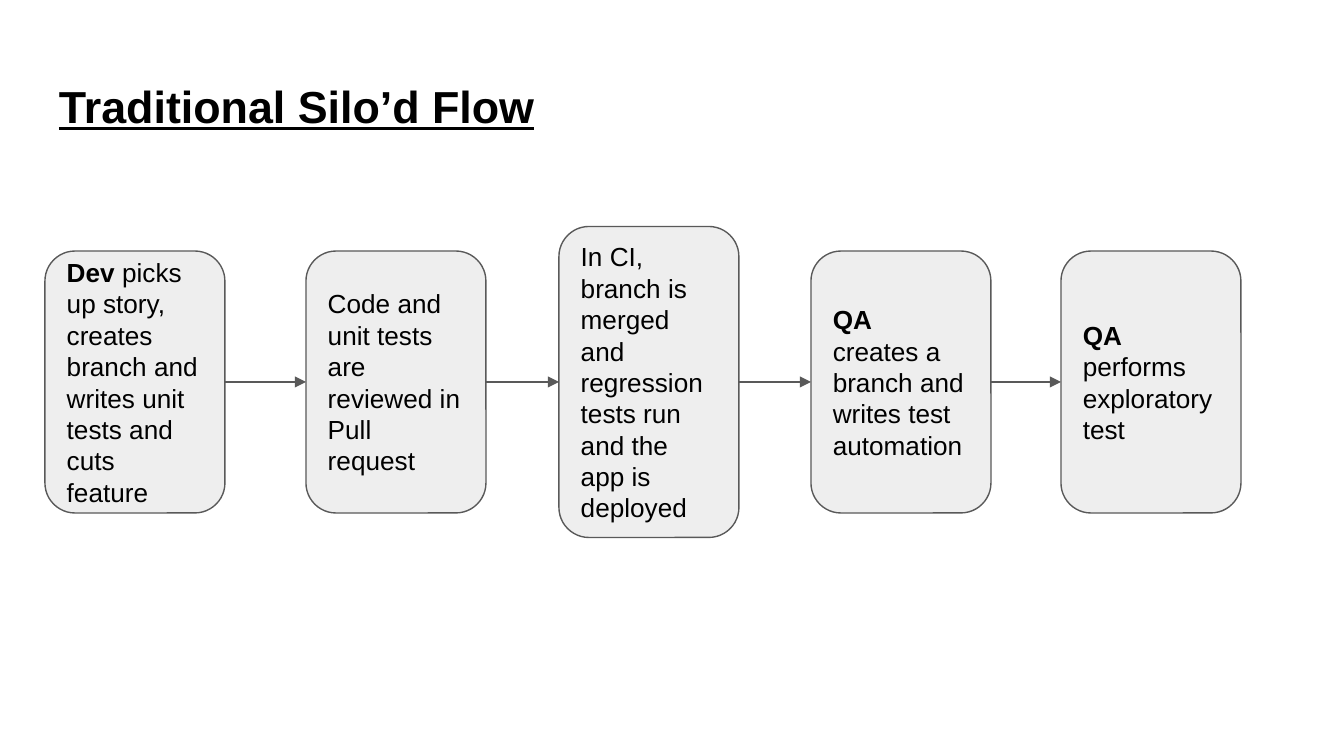
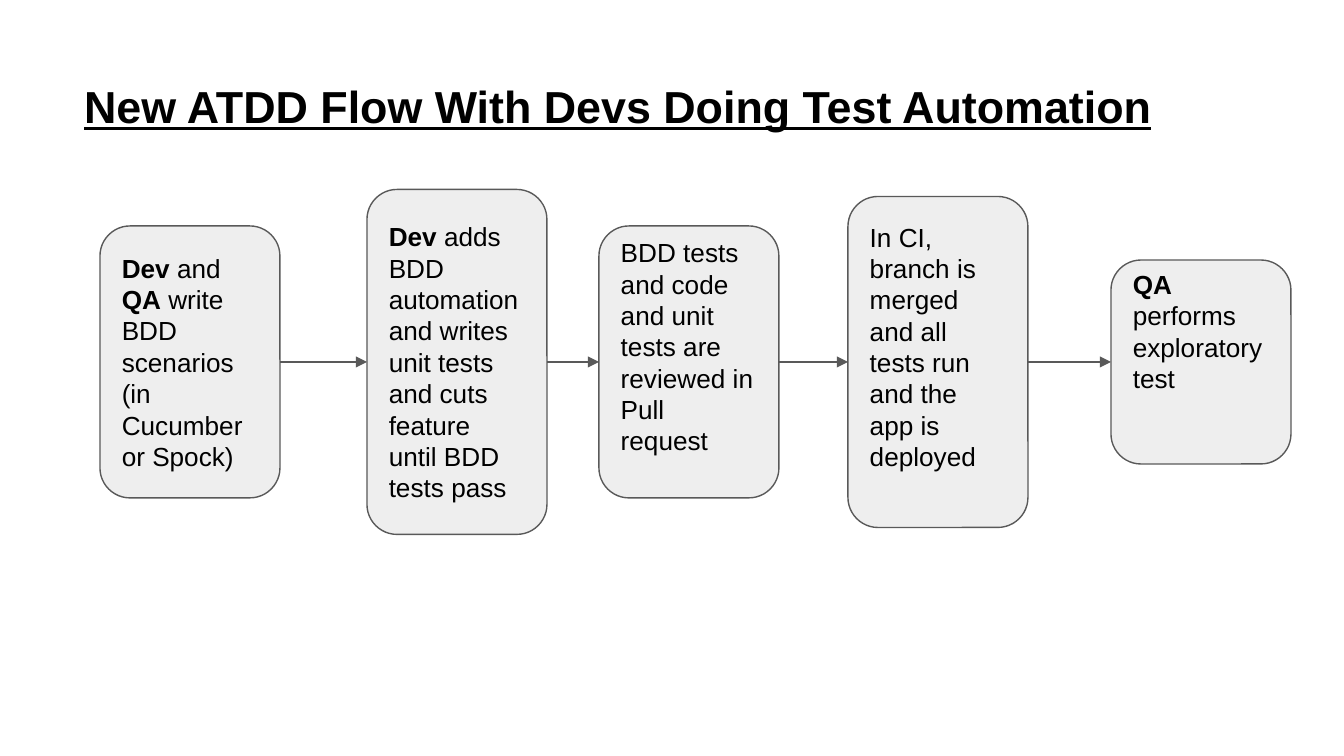
from lxml import etree
from pptx import Presentation
from pptx.dml.color import RGBColor
from pptx.enum.shapes import MSO_CONNECTOR, MSO_SHAPE
from pptx.enum.text import MSO_ANCHOR, PP_ALIGN
from pptx.oxml.ns import qn
from pptx.util import Emu, Pt

ROUND = MSO_SHAPE.ROUNDED_RECTANGLE
LINE = MSO_CONNECTOR.STRAIGHT
TOP, MIDDLE = MSO_ANCHOR.TOP, MSO_ANCHOR.MIDDLE
LEFT = PP_ALIGN.LEFT
LEFT_SITE, RIGHT_SITE = 1, 3

SCALE = 914400 / 134.4
FONT = "Arial"
INK, FILL, EDGE = "000000", "EEEEEE", "595959"
PAD = 13
ROW = 31       # height of one line of step text
STEP_W = 180


def px(n):
    return Emu(round(n * SCALE))


def color(code):
    return RGBColor.from_string(code)


class Deck:
    def __init__(self):
        self.prs = Presentation()
        self.prs.slide_width, self.prs.slide_height = px(1344), px(756)
        self.slide = None

    def add_slide(self):
        self.slide = self.prs.slides.add_slide(self.prs.slide_layouts[6])

    def set_text(self, frame, text, size, anchor, rows=0):
        """Fill a frame; *stars* mark bold, rows is space kept free below."""
        frame.word_wrap = True
        frame.vertical_anchor = anchor
        frame.margin_left = frame.margin_right = frame.margin_top = px(PAD)
        frame.margin_bottom = px(PAD + rows * ROW)
        for i, line in enumerate(text.split("\n")):
            para = frame.paragraphs[0] if i == 0 else frame.add_paragraph()
            para.alignment = LEFT
            para.font.name, para.font.size = FONT, Pt(size)
            para.font.color.rgb = color(INK)
            for j, part in enumerate(line.split("*")):
                if part:
                    run = para.add_run()
                    run.text = part
                    if j % 2:
                        run.font.bold = True

    def title(self, text, x, w, h):
        box = self.slide.shapes.add_textbox(px(x), px(66), px(w), px(h))
        self.set_text(box.text_frame, text, 24, TOP)
        font = box.text_frame.paragraphs[0].font
        font.bold = font.underline = True

    def step(self, text, x, mid, h, rows=0):
        box = self.slide.shapes.add_shape(
            ROUND, px(x), px(mid - h / 2), px(STEP_W), px(h))
        box.shadow.inherit = False
        box.adjustments[0] = 0.167
        box.fill.solid()
        box.fill.fore_color.rgb = color(FILL)
        box.line.color.rgb = color(EDGE)
        box.line.width = Pt(0.75)
        self.set_text(box.text_frame, text, 14, MIDDLE, rows)
        return box

    def arrow(self, start, end):
        line = self.slide.shapes.add_connector(LINE, 0, 0, 0, 0)
        line.begin_connect(start, RIGHT_SITE)
        line.end_connect(end, LEFT_SITE)
        line.line.color.rgb = color(EDGE)
        line.line.width = Pt(0.75)
        props = line._element.spPr
        etree.SubElement(props.find(qn("a:ln")), qn("a:tailEnd"), type="triangle")
        etree.SubElement(props, qn("a:effectLst"))

    def flow(self, mid, steps):
        """Draw steps centred on one axis, with arrows between neighbours."""
        boxes = [self.step(text, x, mid, h, rows) for x, h, rows, text in steps]
        for start, end in zip(boxes, boxes[1:]):
            self.arrow(start, end)


deck = Deck()

# Slide 1: traditional flow (left, height, free rows, text)
deck.add_slide()
deck.title("Traditional Silo’d Flow", 46, 1136, 101)
deck.flow(382, [
    (45, 262, 0, "*Dev* picks up story, creates branch and writes unit tests "
                 "and cuts feature"),
    (306, 262, 0, "Code and unit tests are reviewed in Pull request"),
    (559, 311, 0, "In CI, branch is merged and regression tests run and the "
                  "app is deployed"),
    (811, 262, 0, "*QA*\ncreates a branch and writes test automation"),
    (1061, 262, 0, "*QA* performs exploratory\ntest"),
])

# Slide 2: new flow
deck.add_slide()
deck.title("New ATDD Flow With Devs Doing Test Automation", 71, 1220, 58)
deck.flow(362, [
    (100, 272, 0, "*Dev* and *QA* write BDD scenarios (in Cucumber or Spock)"),
    (367, 345, 0, "*Dev* adds BDD automation and writes unit tests and cuts "
                  "feature\nuntil BDD tests pass"),
    (599, 272, 1, "BDD tests and code and unit tests are reviewed in Pull "
                  "request"),
    (848, 331, 1, "In CI, branch is merged and all tests run and the app is "
                  "deployed"),
    (1111, 204, 2, "*QA* performs exploratory\ntest"),
])

deck.prs.save("out.pptx")
